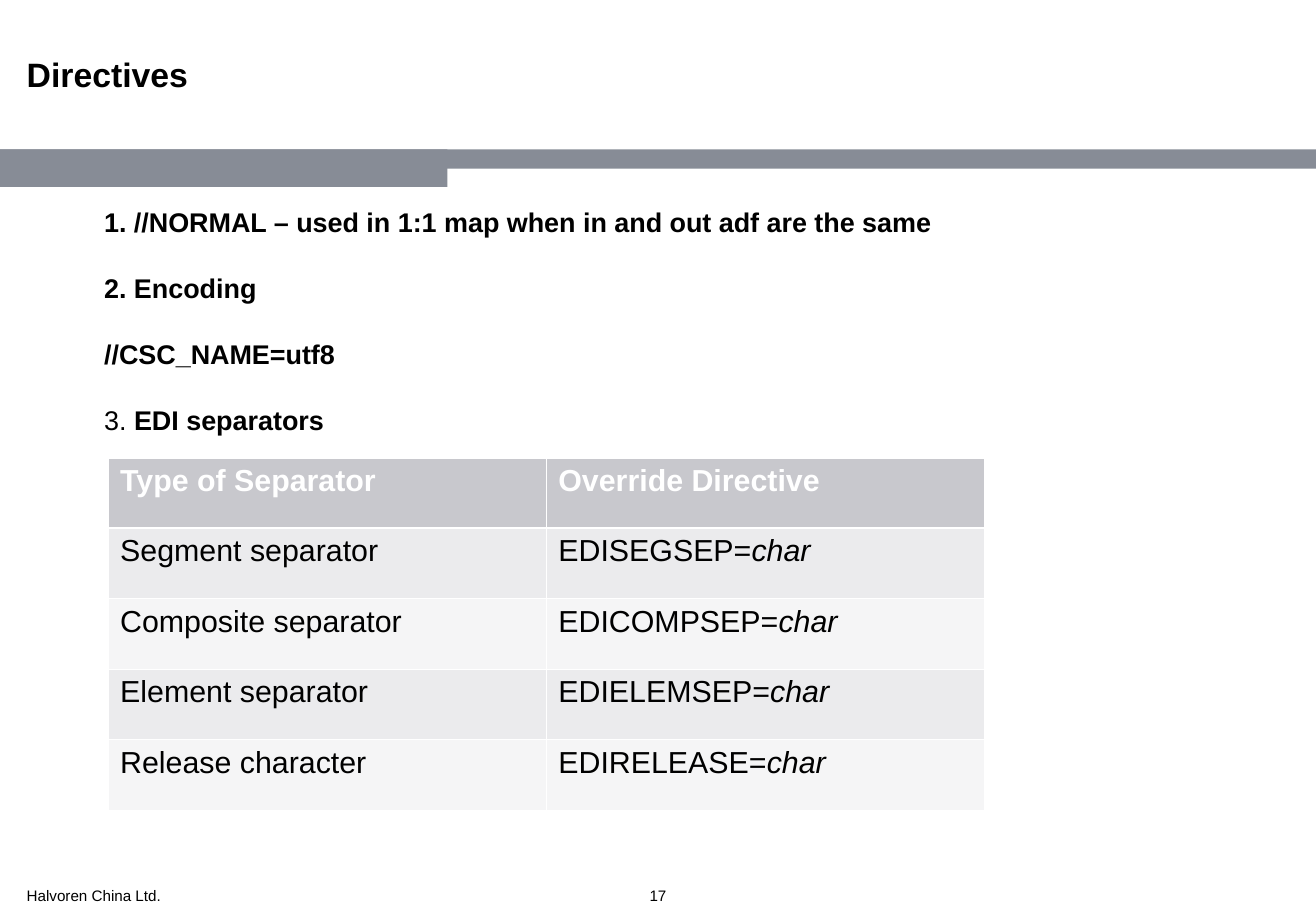
from lxml import etree
from pptx import Presentation
from pptx import util as u
from pptx.dml.color import RGBColor
from pptx.enum import shapes, text
from pptx.oxml import ns

TITLE = "Directives"
FOOTER = "Halvoren China Ltd."
PAGE = "17"
DIRECTIVES = [
    [("1. //NORMAL – used in 1:1 map when in and out adf are the same", "b")],
    [("2. Encoding", "b")],
    [("//CSC_NAME=utf8", "b")],
    [("3. ", ""), ("EDI separators", "b")],
]
HEADER = ("Type of Separator", "Override Directive")
SEPARATORS = [
    ("Segment separator", "EDISEGSEP="),
    ("Composite separator", "EDICOMPSEP="),
    ("Element separator", "EDIELEMSEP="),
    ("Release character", "EDIRELEASE="),
]
VALUE = "char"

COLORS = {"ink": "000000", "white": "FFFFFF", "bar": "878C96",
          "head": "C8C8CD", "odd": "EBEBED", "even": "F5F5F6"}
FONT = "Arial"
W, H = 10.84, 7.5
MARGIN = 0.22
BAR_TOP = 1.23
BARS = [(W, 0.16), (W * 0.34, 0.31)]
FOOT_TOP, FOOT_H = 7.32, 0.1
TABLE_LEFT, TABLE_TOP, COL_W, ROW_H = 0.89, 3.77, 3.61, 0.58
THIN, THICK = 0.45, 1.47


def rgb(name):
    return RGBColor.from_string(COLORS[name])


def write(tf, paragraphs, size=18, color="ink", align=text.PP_ALIGN.LEFT, gap=0):
    for i, runs in enumerate(paragraphs):
        p = tf.paragraphs[0] if i == 0 else tf.add_paragraph()
        p.alignment = align
        if i:
            p.space_before = u.Pt(gap)
        for words, style in runs:
            r = p.add_run()
            r.text = words
            r.font.name = FONT
            r.font.size = u.Pt(size)
            r.font.bold = "b" in style
            r.font.italic = "i" in style
            r.font.color.rgb = rgb(color)


def add_text(s, box, paragraphs, inset=(0, 0), anchor=text.MSO_ANCHOR.TOP, **fmt):
    tf = s.shapes.add_textbox(*map(u.Inches, box)).text_frame
    tf.word_wrap = True
    tf.vertical_anchor = anchor
    tf.margin_left = tf.margin_right = u.Inches(inset[0])
    tf.margin_top = tf.margin_bottom = u.Inches(inset[1])
    write(tf, paragraphs, **fmt)


def add_borders(cell, top, bottom):
    tcPr = cell._tc.get_or_add_tcPr()
    widths = {"lnL": THIN, "lnR": THIN, "lnT": top, "lnB": bottom}
    for i, (tag, width) in enumerate(widths.items()):
        ln = etree.Element(ns.qn("a:" + tag), w=str(u.Pt(width)))
        fill = etree.SubElement(ln, ns.qn("a:solidFill"))
        etree.SubElement(fill, ns.qn("a:srgbClr"), val=COLORS["white"])
        tcPr.insert(i, ln)


def add_separators(s):
    rows = [[[(h, "b")] for h in HEADER]]
    rows += [[[(kind, "")], [(key, ""), (VALUE, "i")]] for kind, key in SEPARATORS]
    box = (TABLE_LEFT, TABLE_TOP, COL_W * len(HEADER), ROW_H * len(rows))
    table = s.shapes.add_table(len(rows), len(HEADER), *map(u.Inches, box)).table
    for col in table.columns:
        col.width = u.Inches(COL_W)
    for i, row in enumerate(rows):
        table.rows[i].height = u.Inches(ROW_H)
        shade = "head" if i == 0 else ("even", "odd")[i % 2]
        for j, runs in enumerate(row):
            cell = table.cell(i, j)
            cell.fill.solid()
            cell.fill.fore_color.rgb = rgb(shade)
            write(cell.text_frame, [runs], color="ink" if i else "white")
            add_borders(cell, THICK if i == 1 else THIN, THIN if i else THICK)


def main():
    prs = Presentation()
    prs.slide_width, prs.slide_height = u.Inches(W), u.Inches(H)
    s = prs.slides.add_slide(prs.slide_layouts[6])
    for width, height in BARS:
        sp = s.shapes.add_shape(shapes.MSO_SHAPE.RECTANGLE, 0, u.Inches(BAR_TOP),
                                u.Inches(width), u.Inches(height))
        sp.shadow.inherit = False
        sp.fill.solid()
        sp.fill.fore_color.rgb = rgb("bar")
        sp.line.fill.background()
    add_text(s, (MARGIN, 0.44, 7.56, 0.71), [[(TITLE, "b")]], size=20)
    middle = text.MSO_ANCHOR.MIDDLE
    add_text(s, (4.38, FOOT_TOP, 2.08, FOOT_H), [[(PAGE, "")]], size=9,
             anchor=middle, align=text.PP_ALIGN.CENTER)
    add_text(s, (MARGIN, FOOT_TOP, 4.06, FOOT_H), [[(FOOTER, "")]], size=9, anchor=middle)
    add_text(s, (0.76, 1.64, 7.4, 2.1), DIRECTIVES, inset=(0.1, 0.05), size=16, gap=20)
    add_separators(s)
    prs.save("out.pptx")


if __name__ == "__main__":
    main()
